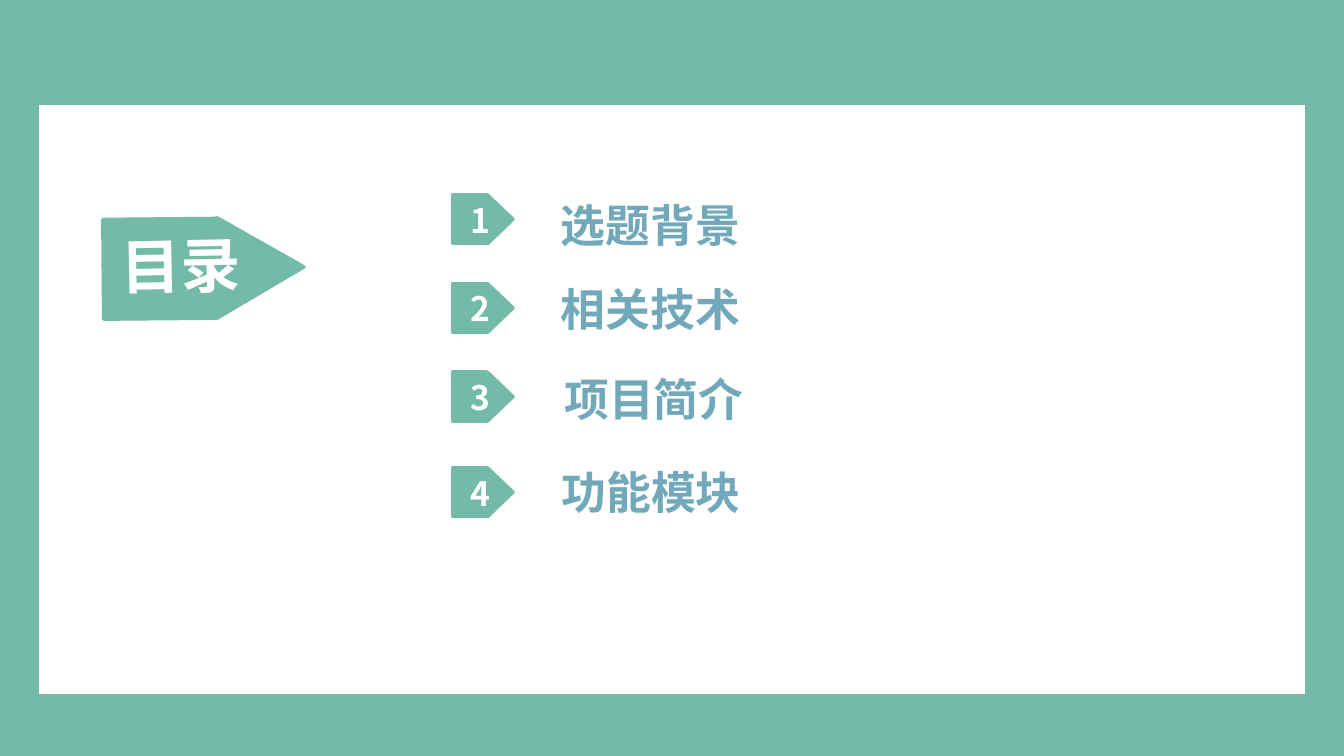
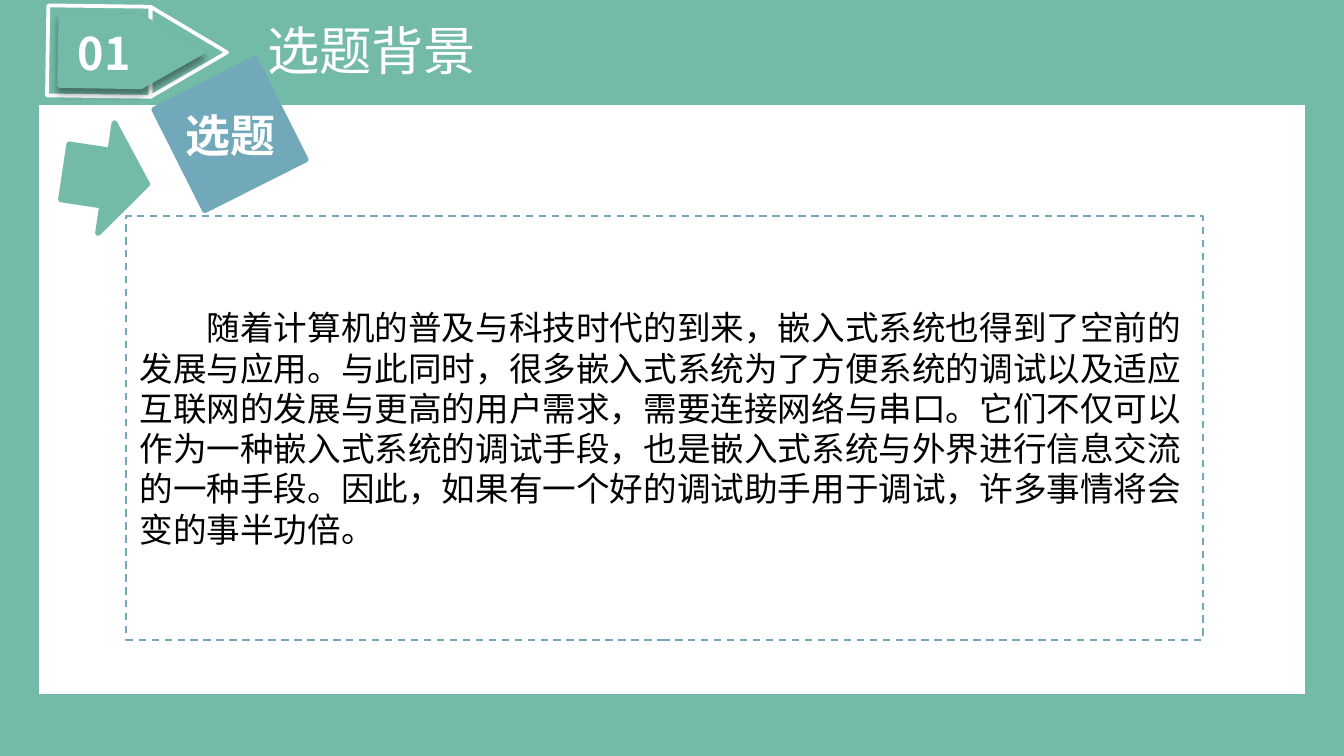
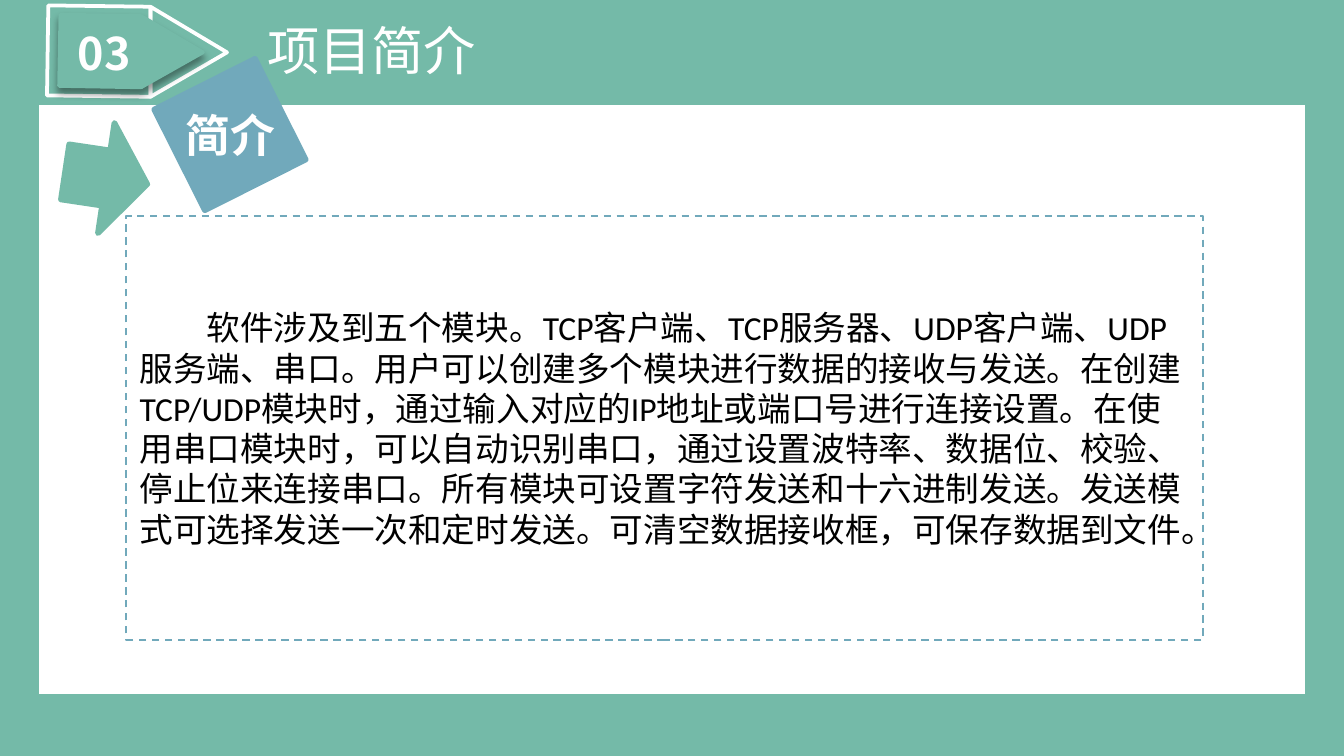
import pptx
import pptx.util
import pptx.dml.color
import pptx.enum.dml
import pptx.enum.shapes
import pptx.enum.text
import pptx.oxml
import pptx.oxml.ns

Pt = pptx.util.Pt
KIND = pptx.enum.shapes.MSO_SHAPE
ALIGN = pptx.enum.text.PP_ALIGN
ANCHOR = pptx.enum.text.MSO_ANCHOR
SANS = "Noto Sans CJK SC"
COLORS = {"teal": "74BAA8", "blue": "71A9BB", "white": "FFFFFF", "black": "000000"}

ITEMS = [  # text, tag top, text top, text centre
    ("选题背景", 104.4, 102.2, 348.5),
    ("相关技术", 151.9, 147.6, 348.5),
    ("项目简介", 199.4, 195.8, 350.3),
    ("功能模块", 250.6, 245.5, 348.8),
]
TOPICS = [
    ("01", "选题背景", "选题",
     "随着计算机的普及与科技时代的到来，嵌入式系统也得到了空前的发展与应用。"
     "与此同时，很多嵌入式系统为了方便系统的调试以及适应互联网的发展与更高的用户需求，"
     "需要连接网络与串口。它们不仅可以作为一种嵌入式系统的调试手段，"
     "也是嵌入式系统与外界进行信息交流的一种手段。"
     "因此，如果有一个好的调试助手用于调试，许多事情将会变的事半功倍。"),
    ("03", "项目简介", "简介",
     "软件涉及到五个模块。TCP客户端、TCP服务器、UDP客户端、UDP服务端、串口。"
     "用户可以创建多个模块进行数据的接收与发送。"
     "在创建TCP/UDP模块时，通过输入对应的IP地址或端口号进行连接设置。"
     "在使用串口模块时，可以自动识别串口，通过设置波特率、数据位、校验、停止位来连接串口。"
     "所有模块可设置字符发送和十六进制发送。发送模式可选择发送一次和定时发送。"
     "可清空数据接收框，可保存数据到文件。"),
]


def rgb(name):
    """Look up a palette colour."""
    return pptx.dml.color.RGBColor.from_string(COLORS[name])


def paint(shape, fill, line, width):
    """Set fill and line, and drop the shadow."""
    shape.shadow.inherit = False
    if fill:
        shape.fill.solid()
        shape.fill.fore_color.rgb = rgb(fill)
    else:
        shape.fill.background()
    shape.line.color.rgb = rgb(line)
    shape.line.width = Pt(width)


def block(slide, kind, box, fill="teal", line="teal", width=2, turn=0):
    """Add a preset shape, turned by some degrees."""
    shape = slide.shapes.add_shape(kind, *map(Pt, box))
    paint(shape, fill, line, width)
    shape.rotation = turn
    return shape


def write(frame, text, size, color, bold=False, font=SANS):
    """Fill a frame with one styled paragraph and return it."""
    frame.word_wrap = True
    frame.text = text
    para = frame.paragraphs[0]
    run = para.runs[0]
    run.font.size = Pt(size)
    run.font.bold = bold
    run.font.name = font
    run.font.color.rgb = rgb(color)
    east = pptx.oxml.parse_xml(
        f'<a:ea {pptx.oxml.ns.nsdecls("a")} typeface="{SANS}"/>')
    run.font._element.find(pptx.oxml.ns.qn("a:latin")).addnext(east)
    return para


def label(slide, text, box, size, color="white", bold=True, align=ALIGN.LEFT, turn=0):
    """Add a text box that grows with its text."""
    shape = slide.shapes.add_textbox(*map(Pt, box))
    write(shape.text_frame, text, size, color, bold).alignment = align
    shape.text_frame.auto_size = pptx.enum.text.MSO_AUTO_SIZE.SHAPE_TO_FIT_TEXT
    shape.rotation = turn


def shade(shape):
    """Add a soft shadow below a shape."""
    effect = shape._element.spPr.find(pptx.oxml.ns.qn("a:effectLst"))
    effect.append(pptx.oxml.parse_xml(
        f'<a:outerShdw {pptx.oxml.ns.nsdecls("a")} blurRad="{Pt(4)}" dist="{Pt(3)}" '
        'dir="5400000" algn="t" rotWithShape="0"><a:srgbClr val="000000">'
        '<a:alpha val="40000"/></a:srgbClr></a:outerShdw>'))


def flag(slide, left, mid, tip, top, low, fill, line):
    """Add a slightly skewed tag: a triangle beside a box."""
    skew = 0.72
    head = [(mid, top), (tip, 28.08), (mid, low)]
    body = [(left + skew, top - skew), (mid, top), (mid, low), (left, low - skew)]
    head, body = [[(round(x * 100), round(y * 100)) for x, y in part]
                  for part in (head, body)]
    pen = slide.shapes.build_freeform(*head[0], scale=Pt(1) / 100)
    pen.add_line_segments(head[1:], close=True)
    pen.move_to(*body[0])
    pen.add_line_segments(body[1:], close=True)
    shape = pen.convert_to_shape()
    paint(shape, fill, line, 2)
    return shape


def base(deck):
    """Add a slide with the teal ground and the white panel."""
    slide = deck.slides.add_slide(deck.slide_layouts[6])
    slide.background.fill.solid()
    slide.background.fill.fore_color.rgb = rgb("teal")
    block(slide, KIND.RECTANGLE, (20, 55.4, 680, 317.5), "white")
    return slide


def agenda(deck):
    """Build the contents slide."""
    slide = base(deck)
    block(slide, KIND.RECTANGLE, (55.4, 117.4, 61.2, 53.3), turn=359.5)
    block(slide, KIND.ISOSCELES_TRIANGLE, (113, 120.2, 53.3, 46.1), turn=89.5)
    label(slide, "目录", (57.6, 118.8, 85, 46.1), 32, turn=358.8)
    for num, (text, top, high, mid) in enumerate(ITEMS, 1):
        label(slide, text, (mid - 73.5, high, 147, 36), 24, "blue", align=ALIGN.CENTER)
        block(slide, KIND.RECTANGLE, (242.6, top, 18, 26))
        block(slide, KIND.ISOSCELES_TRIANGLE, (254.9, top + 6.3, 26, 13.6), turn=90)
        label(slide, str(num), (244.8, top - 1, 23, 28.8), 18)


def topic(deck, num, title, tag, text):
    """Build a slide with a numbered title and one framed text."""
    slide = base(deck)
    panel = block(slide, KIND.RECTANGLE, (67.7, 115.9, 576.7, 226.8), None, "blue", 1)
    panel.line.dash_style = pptx.enum.dml.MSO_LINE.DASH
    panel.text_frame.vertical_anchor = ANCHOR.MIDDLE
    para = write(panel.text_frame, text, 18, "black", font="Calibri")
    para.alignment = ALIGN.LEFT
    para._p.get_or_add_pPr().set("indent", str(Pt(36)))
    block(slide, KIND.RIGHT_ARROW, (34.6, 65.5, 44.6, 59.8), width=3, turn=8.5)
    block(slide, KIND.RECTANGLE, (92.9, 41.8, 60.5, 60.5), "blue", "blue", 3, 153.3)
    label(slide, tag, (92.2, 54, 72, 36), 24)
    label(slide, title, (136.1, 6.5, 354.2, 41), 28, bold=False)
    flag(slide, 25.2, 80.64, 121.68, 3.6, 51.84, None, "white")
    shade(flag(slide, 31.68, 75.6, 108.72, 8.64, 46.8, "teal", "teal"))
    label(slide, num, (34.6, 10.1, 54, 36), 24)


def main():
    """Build and save the deck."""
    deck = pptx.Presentation()
    deck.slide_width, deck.slide_height = Pt(720), Pt(405)
    agenda(deck)
    for row in TOPICS:
        topic(deck, *row)
    deck.save("out.pptx")


main()
